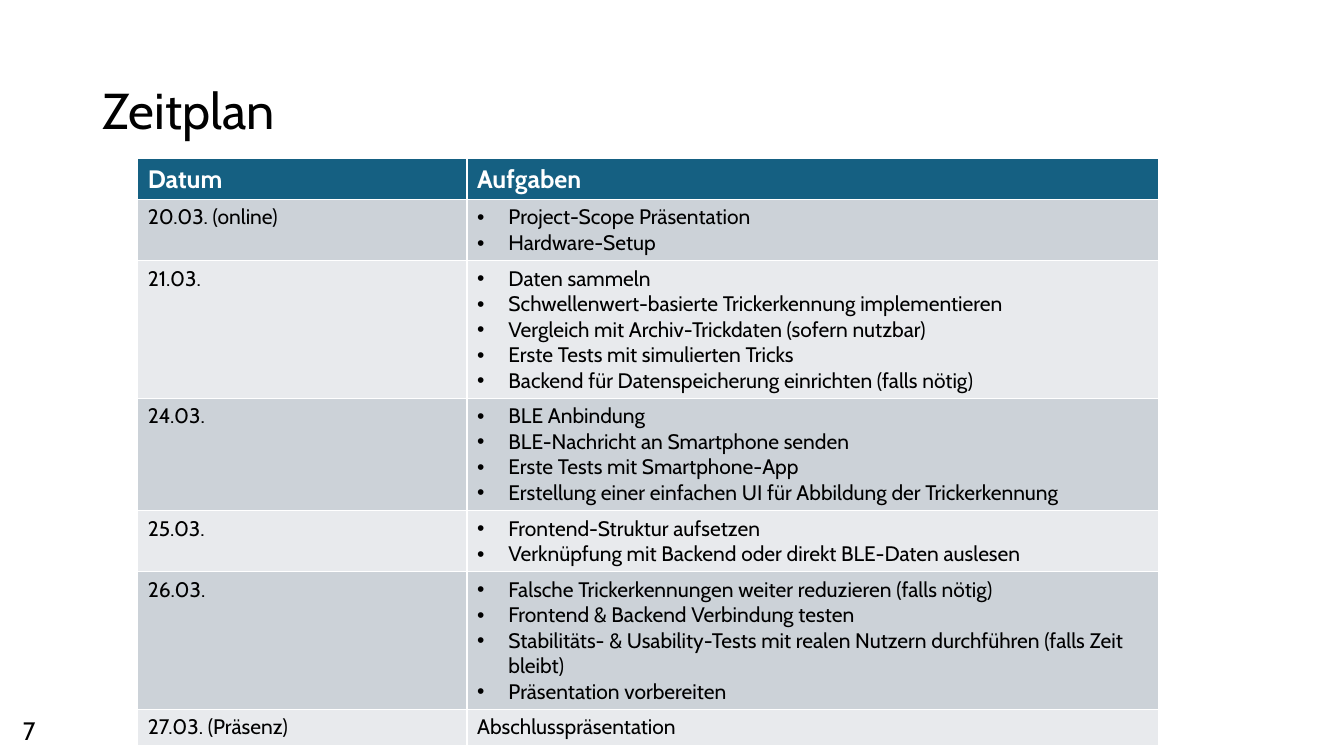
from lxml import etree
from pptx import Presentation
from pptx.dml.color import RGBColor
from pptx.enum.text import MSO_ANCHOR, PP_ALIGN
from pptx.oxml.ns import qn
from pptx.util import Cm, Pt

MIDDLE = MSO_ANCHOR.MIDDLE
LEFT = PP_ALIGN.LEFT

BLACK = RGBColor(0x00, 0x00, 0x00)
WHITE = RGBColor(0xFF, 0xFF, 0xFF)
TEAL = RGBColor(0x15, 0x60, 0x82)
BANDS = [RGBColor(0xCC, 0xD2, 0xD8), RGBColor(0xE8, 0xEA, 0xED)]
FONT = "Cabin"

# Content
TITLE = "Zeitplan"
NUMBER = "7"
HEADS = ["Datum", "Aufgaben"]
# Date, lines of text in the row, tasks
PLAN = [
    ("20.03. (online)", 2, [
        "Project-Scope Präsentation",
        "Hardware-Setup",
    ]),
    ("21.03.", 5, [
        "Daten sammeln",
        "Schwellenwert-basierte Trickerkennung implementieren",
        "Vergleich mit Archiv-Trickdaten (sofern nutzbar)",
        "Erste Tests mit simulierten Tricks",
        "Backend für Datenspeicherung einrichten (falls nötig)",
    ]),
    ("24.03.", 4, [
        "BLE Anbindung",
        "BLE-Nachricht an Smartphone senden",
        "Erste Tests mit Smartphone-App",
        "Erstellung einer einfachen UI für Abbildung der Trickerkennung",
    ]),
    ("25.03.", 2, [
        "Frontend-Struktur aufsetzen",
        "Verknüpfung mit Backend oder direkt BLE-Daten auslesen",
    ]),
    ("26.03.", 5, [
        "Falsche Trickerkennungen weiter reduzieren (falls nötig)",
        "Frontend & Backend Verbindung testen",
        "Stabilitäts- & Usability-Tests mit realen Nutzern durchführen "
        "(falls Zeit bleibt)",
        "Präsentation vorbereiten",
    ]),
    ("27.03. (Präsenz)", 1, ["Abschlusspräsentation"]),
]

# Sizes in centimetres
WIDTHS = [8.3, 17.43]
HEAD = 0.99
LINE = 0.64
PAD = 0.25
INDENT = Cm(0.79)


def style(par, size, color, bold=False):
    font = par.font
    font.name, font.size, font.bold = FONT, Pt(size), bold
    font.color.rgb = color


def bullet(par):
    props = par._p.get_or_add_pPr()
    props.set("marL", str(INDENT))
    props.set("indent", str(-INDENT))
    face = etree.Element(qn("a:buFont"), typeface="Arial")
    mark = etree.Element(qn("a:buChar"), char="•")
    props.insert(0, face)
    face.addnext(mark)


def fill_cell(cell, lines, fill, size, color, bold=False):
    cell.fill.solid()
    cell.fill.fore_color.rgb = fill
    cell.text = "\n".join(lines)
    for par in cell.text_frame.paragraphs:
        style(par, size, color, bold)
        if len(lines) > 1:
            bullet(par)


deck = Presentation()
deck.slide_width, deck.slide_height = Cm(33.87), Cm(19.05)
slide = deck.slides.add_slide(deck.slide_layouts[5])

# Title
title = slide.shapes.title
title.left, title.top = Cm(2.33), Cm(1.01)
title.width, title.height = Cm(29.21), Cm(3.68)
title.text_frame.text = TITLE
title.text_frame.vertical_anchor = MIDDLE
par = title.text_frame.paragraphs[0]
par.alignment = LEFT
par.line_spacing = 0.9
style(par, 36, BLACK)

# Timetable
heights = [HEAD] + [LINE * count + PAD for _, count, _ in PLAN]
table = slide.shapes.add_table(
    len(heights), len(WIDTHS), Cm(3.47), Cm(4),
    Cm(sum(WIDTHS)), Cm(sum(heights))).table
for col, width in zip(table.columns, WIDTHS):
    col.width = Cm(width)
for row, height in zip(table.rows, heights):
    row.height = Cm(height)
for col, head in enumerate(HEADS):
    fill_cell(table.cell(0, col), [head], TEAL, 18, WHITE, True)
for row, (date, _, tasks) in enumerate(PLAN, 1):
    band = BANDS[(row - 1) % 2]
    fill_cell(table.cell(row, 0), [date], band, 15, BLACK)
    fill_cell(table.cell(row, 1), tasks, band, 15, BLACK)

# Slide number
box = slide.shapes.add_textbox(Cm(0.33), Cm(17.91), Cm(3.12), Cm(1.02))
box.text_frame.word_wrap = True
box.text_frame.text = NUMBER
style(box.text_frame.paragraphs[0], 18, BLACK)

deck.save("out.pptx")
